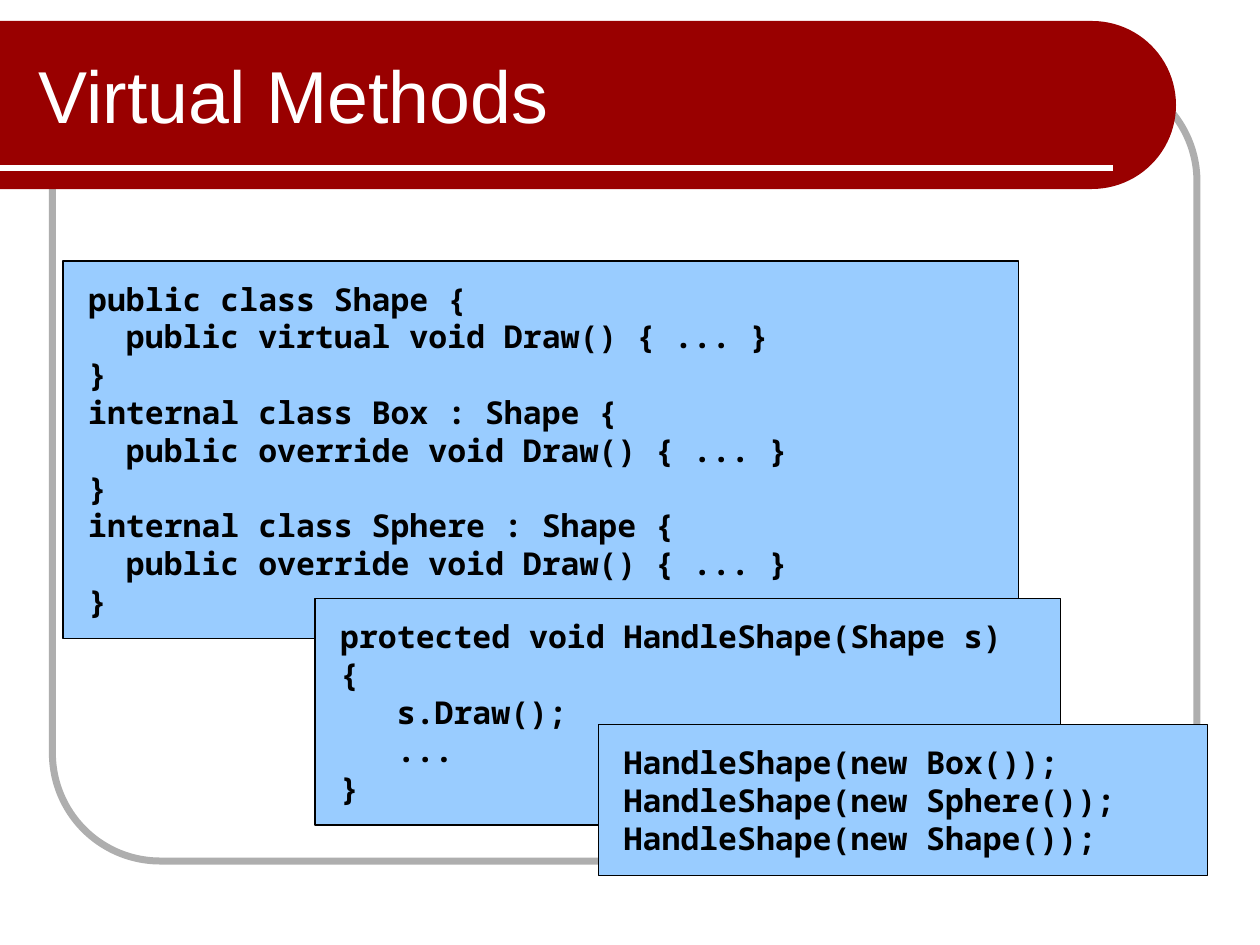
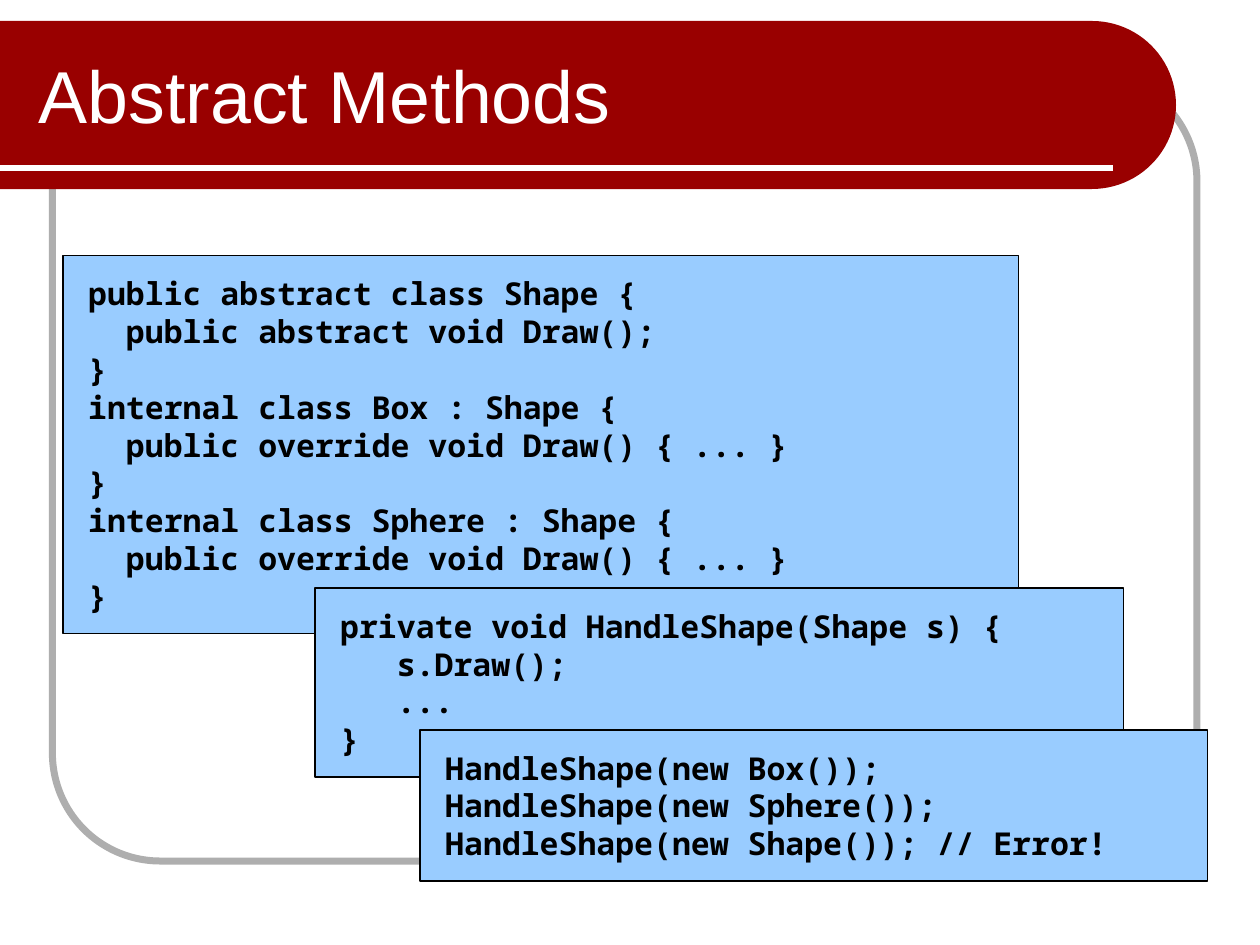
from math import cos, pi, sin

from pptx import Presentation
from pptx.dml.color import RGBColor
from pptx.enum.shapes import MSO_CONNECTOR, MSO_SHAPE
from pptx.enum.text import MSO_ANCHOR, MSO_AUTO_SIZE, PP_ALIGN
from pptx.oxml.ns import qn
from pptx.util import Pt
from lxml import etree

RECT, ROUNDED = MSO_SHAPE.RECTANGLE, MSO_SHAPE.ROUNDED_RECTANGLE
STRAIGHT = MSO_CONNECTOR.STRAIGHT
LEFT = PP_ALIGN.LEFT
TOP, MIDDLE = MSO_ANCHOR.TOP, MSO_ANCHOR.MIDDLE
NO_FIT, GROW = MSO_AUTO_SIZE.NONE, MSO_AUTO_SIZE.SHAPE_TO_FIT_TEXT

RED, WHITE, GREY, BLUE, BLACK = "990000", "FFFFFF", "AEAEAE", "99CCFF", "000000"
TITLE_FONT, CODE_FONT = "Arial", "Noto Sans Mono"
CODE_SIZE, ROW, CHAR = 18, 21.6, 10.8
PAD_X, PAD_Y = 14.4, 10.8

SUBCLASSES = [
    "internal class Box : Shape {",
    "  public override void Draw() { ... }",
    "}",
    "internal class Sphere : Shape {",
    "  public override void Draw() { ... }",
    "}",
]
BODY = ["   s.Draw();", "   ...", "}"]
CALLS = ["HandleShape(new Box());", "HandleShape(new Sphere());"]

SLIDES = [
    {"title": "Virtual Methods", "boxes": [
        {"at": (36, 149), "width": 546, "rows": 9, "code": [
            "public class Shape {",
            "  public virtual void Draw() { ... }",
            "}"] + SUBCLASSES},
        {"at": (180, 342), "width": 426, "rows": 5, "code": [
            "protected void HandleShape(Shape s) {"] + BODY},
        {"at": (342, 414), "width": 348, "rows": 3, "code": CALLS + [
            "HandleShape(new Shape());"]},
    ]},
    {"title": "Abstract Methods", "boxes": [
        {"at": (36, 146), "width": 546, "rows": 9, "code": [
            "public abstract class Shape {",
            "  public abstract void Draw();",
            "}"] + SUBCLASSES},
        {"at": (180, 336), "width": 462, "rows": 4, "code": [
            "private void HandleShape(Shape s) {"] + BODY},
        {"at": (240, 417), "width": 450, "rows": 3, "code": CALLS + [
            "HandleShape(new Shape()); // Error!"]},
    ]},
]


def rgb(value):
    return RGBColor.from_string(value)


def style(shape, fill=None, line=None, weight=1):
    shape.shadow.inherit = False
    if fill:
        shape.fill.solid()
        shape.fill.fore_color.rgb = rgb(fill)
    else:
        shape.fill.background()
    if line:
        shape.line.color.rgb = rgb(line)
        shape.line.width = Pt(weight)
    else:
        shape.line.fill.background()


def write(p, text, font, size, color, bold=False, indent=0):
    p.alignment = LEFT
    if indent:
        p._p.get_or_add_pPr().set("marL", str(Pt(indent)))
    r = p.add_run()
    r.text = text
    r.font.name = font
    r.font.size = Pt(size)
    r.font.bold = bold
    r.font.color.rgb = rgb(color)


def add_frame(s):
    frame = s.shapes.add_shape(ROUNDED, Pt(30), Pt(42), Pt(654), Pt(450))
    frame.adjustments[0] = 0.137
    style(frame, line=GREY, weight=4)
    return frame


def add_band(s, top=12, radius=48, centre=624, steps=48):
    angles = [pi * i / steps - pi / 2 for i in range(steps + 1)]
    arc = [(Pt(centre + radius * cos(a)), Pt(top + radius + radius * sin(a)))
           for a in angles]
    builder = s.shapes.build_freeform(0, Pt(top))
    builder.add_line_segments(arc + [(0, Pt(top + 2 * radius))], close=True)
    band = builder.convert_to_shape()
    style(band, fill=RED)
    return band


def add_rule(s):
    rule = s.shapes.add_connector(STRAIGHT, 0, Pt(96), Pt(636), Pt(96))
    rule.line.color.rgb = rgb(WHITE)
    rule.line.width = Pt(3)
    etree.SubElement(rule.element.spPr, qn("a:effectLst"))
    return rule


def add_title(s, text):
    title = s.shapes.title
    title.left, title.top, title.width, title.height = Pt(15), Pt(18), Pt(561), Pt(72)
    tf = title.text_frame
    tf.auto_size = NO_FIT
    tf.vertical_anchor = MIDDLE
    write(tf.paragraphs[0], text, TITLE_FONT, 42, WHITE)


def add_code(s, at, width, rows, code):
    height = rows * ROW + 2 * PAD_Y
    box = s.shapes.add_shape(RECT, Pt(at[0]), Pt(at[1]), Pt(width), Pt(height))
    style(box, fill=BLUE, line=BLACK)
    tf = box.text_frame
    tf.word_wrap = True
    tf.auto_size = GROW
    tf.vertical_anchor = TOP
    tf.margin_left = tf.margin_right = Pt(PAD_X)
    tf.margin_top = tf.margin_bottom = Pt(PAD_Y)
    for i, line in enumerate(code):
        p = tf.add_paragraph() if i else tf.paragraphs[0]
        text = line.lstrip()
        write(p, text, CODE_FONT, CODE_SIZE, BLACK, bold=True,
              indent=CHAR * (len(line) - len(text)))


prs = Presentation()
prs.slide_width, prs.slide_height = Pt(720), Pt(540)
layout = prs.slide_layouts[5]
slides = [prs.slides.add_slide(layout) for _ in SLIDES]

for add_part in (add_frame, add_band, add_rule):
    layout.shapes.element.append(add_part(slides[0]).element)

for s, content in zip(slides, SLIDES):
    add_title(s, content["title"])
    for box in content["boxes"]:
        add_code(s, **box)

prs.save("out.pptx")
